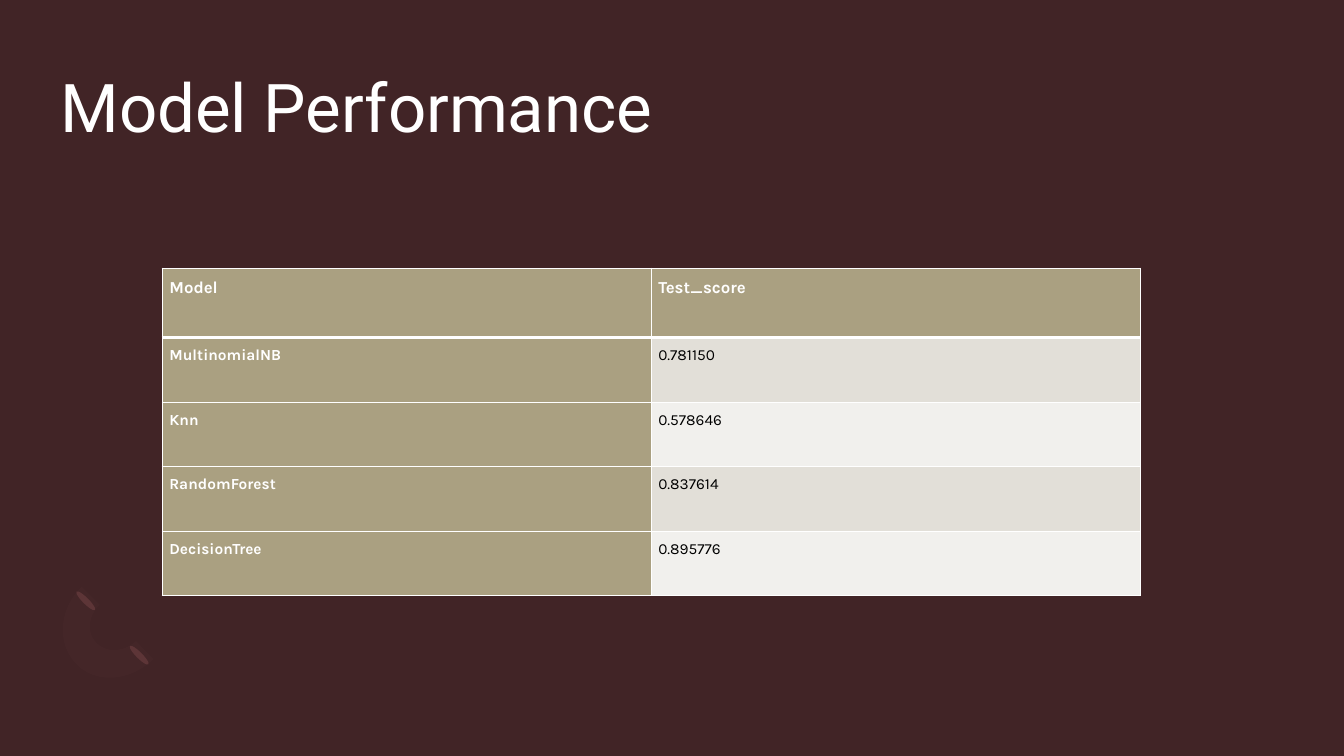
import pptx
import pptx.dml.color
import pptx.enum.shapes
import pptx.enum.text
import pptx.oxml
import pptx.oxml.ns
import pptx.util
from pptx.util import Inches

THEME = {
    "background": "412426", "white": "FFFFFF", "black": "000000",
    "label": "AAA081", "band_dark": "E2DFD8", "band_light": "F1F0ED",
    "petal": "5B3335", "arc": "B67B7F",
    "title_size": 48, "header_size": 12, "body_size": 11,
    "title_font": "Roboto", "table_font": "Karla",
}


def rgb(name):
    return pptx.dml.color.RGBColor.from_string(THEME[name])


def write(frame, text, *, font, size, color, bold=False, spacing=1.0, after=0):
    paragraph = frame.paragraphs[0]
    paragraph.alignment = pptx.enum.text.PP_ALIGN.LEFT
    paragraph.line_spacing = spacing
    paragraph.space_after = pptx.util.Pt(after)
    run = paragraph.add_run()
    run.text = text
    run.font.name = THEME[font]
    run.font.size = pptx.util.Pt(THEME[size])
    run.font.color.rgb = rgb(color)
    run.font.bold = bold


deck = pptx.Presentation()
deck.slide_width = Inches(13.33)
deck.slide_height = Inches(7.5)
slide = deck.slides.add_slide(deck.slide_layouts[6])
slide.background.fill.solid()
slide.background.fill.fore_color.rgb = rgb("background")

for left, top in [(1.35, 6.37), (0.82, 5.83)]:
    petal = slide.shapes.add_shape(
        pptx.enum.shapes.MSO_SHAPE.OVAL, Inches(left), Inches(top), Inches(0.06), Inches(0.26))
    petal.rotation = 135
    petal.shadow.inherit = False
    petal.fill.solid()
    petal.fill.fore_color.rgb = rgb("petal")
    petal.line.fill.background()

arc_curves = [
    [(0.76, 6.59), (0.56, 6.39), (0.58, 6.05), (0.81, 5.82)],
    [(0.99, 6.0), (0.87, 6.11), (0.86, 6.29), (0.96, 6.38)],
    [(0.96, 6.38), (1.06, 6.48), (1.23, 6.47), (1.35, 6.36)],
    [(1.52, 6.54), (1.3, 6.76), (0.95, 6.79), (0.76, 6.59)],
]
arc_points = []
for curve in arc_curves:
    for step in range(13):
        t = step / 12
        weights = [(1 - t) ** 3, 3 * t * (1 - t) ** 2, 3 * t ** 2 * (1 - t), t ** 3]
        arc_points.append(tuple(
            Inches(sum(w * point[axis] for w, point in zip(weights, curve))) for axis in (0, 1)))
outline = slide.shapes.build_freeform(*arc_points[0])
outline.add_line_segments(arc_points[1:], close=True)
arc = outline.convert_to_shape()
arc.shadow.inherit = False
arc.fill.solid()
arc.fill.fore_color.rgb = rgb("arc")
arc.line.fill.background()
arc_color = arc._element.spPr.find(".//" + pptx.oxml.ns.qn("a:srgbClr"))
arc_color.append(pptx.oxml.parse_xml(
    f'<a:alpha {pptx.oxml.ns.nsdecls("a")} val="3000"/>'))

title = slide.shapes.add_textbox(Inches(0.6), Inches(0.6), Inches(12.13), Inches(1.46)).text_frame
title.word_wrap = True
title.margin_left = title.margin_right = title.margin_bottom = 0
title.margin_top = Inches(0.05)
write(title, "Model Performance", font="title_font", size="title_size", color="white")

scores = [
    ("Model", "Test_score"),
    ("MultinomialNB", "0.781150"),
    ("Knn", "0.578646"),
    ("RandomForest", "0.837614"),
    ("DecisionTree", "0.895776"),
]
table = slide.shapes.add_table(
    len(scores), 2, Inches(1.61), Inches(2.66), Inches(9.7), Inches(3.25)).table
table.horz_banding = False
table.first_row = False
for column in table.columns:
    column.width = Inches(4.85)

for row_index, row_texts in enumerate(scores):
    is_header = row_index == 0
    table.rows[row_index].height = Inches(0.69 if is_header else 0.64)
    for column_index, text in enumerate(row_texts):
        is_label = is_header or column_index == 0
        band = "band_dark" if row_index % 2 else "band_light"
        cell = table.cell(row_index, column_index)
        cell.margin_left = cell.margin_right = Inches(0.07)
        cell.margin_top = cell.margin_bottom = 0
        cell.vertical_anchor = pptx.enum.text.MSO_ANCHOR.TOP
        cell.fill.solid()
        cell.fill.fore_color.rgb = rgb("label" if is_label else band)
        write(cell.text_frame, text, font="table_font",
              size="header_size" if is_header else "body_size",
              color="white" if is_label else "black",
              bold=is_label, spacing=1.5, after=8)
        properties = cell._tc.get_or_add_tcPr()
        for position, side in enumerate("LRTB"):
            width = pptx.util.Pt(3 if is_header and side == "B" else 1)
            properties.insert(position, pptx.oxml.parse_xml(
                f'<a:ln{side} {pptx.oxml.ns.nsdecls("a")} w="{width}"><a:solidFill>'
                f'<a:srgbClr val="{THEME["white"]}"/></a:solidFill></a:ln{side}>'))

deck.save("out.pptx")
